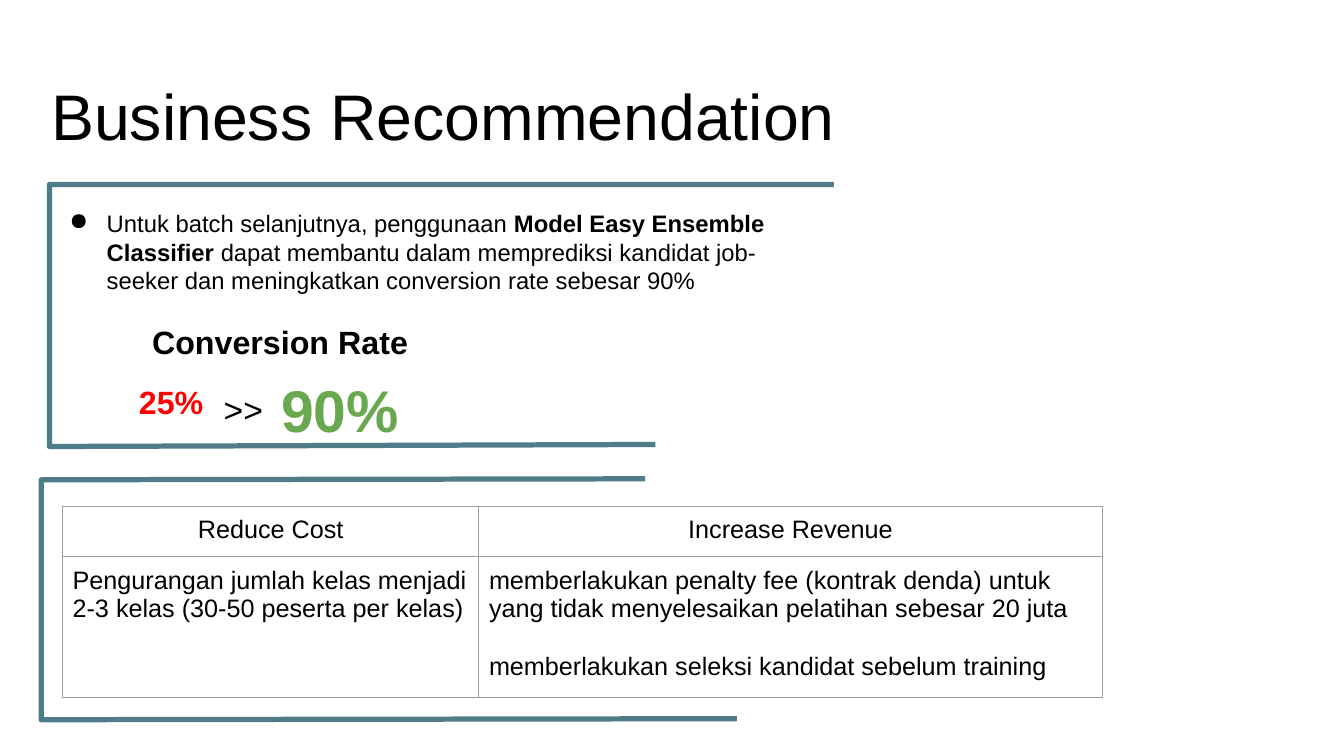
from lxml import etree
from pptx import Presentation
from pptx import util as u
from pptx.dml.color import RGBColor
from pptx.enum import text
from pptx.oxml import ns

PX = 9144


def px(length):
    return u.Emu(length * PX)


def color(value):
    return RGBColor.from_string(value)


def add_color(parent, value):
    fill = etree.SubElement(parent, ns.qn("a:solidFill"))
    etree.SubElement(fill, ns.qn("a:srgbClr"), val=value)


class Board:
    """Holds the style and the current slide, and adds elements to it."""

    font = "Arial"
    ink = "000000"
    bracket_color = "507C89"
    grid_color = "9E9E9E"

    def __init__(self, slide):
        self.slide = slide

    def style(self, paragraph, size, hue=ink, bold=False):
        for run in paragraph.runs:
            run.font.name = self.font
            run.font.size = u.Pt(size)
            run.font.bold = bold
            run.font.color.rgb = color(hue)

    def bracket(self, start, *points):
        builder = self.slide.shapes.build_freeform(*start, scale=PX)
        builder.add_line_segments(points, close=False)
        outline = builder.convert_to_shape()
        outline.shadow.inherit = False
        outline.fill.background()
        outline.line.color.rgb = color(self.bracket_color)
        outline.line.width = u.Pt(3.75)

    def label(self, box, words, size, hue=ink, bold=False, inset=10):
        frame = self.slide.shapes.add_textbox(*map(px, box)).text_frame
        frame.word_wrap = True
        frame.margin_left = frame.margin_right = px(10)
        frame.margin_top = frame.margin_bottom = px(inset)
        frame.text = words
        self.style(frame.paragraphs[0], size, hue, bold)
        return frame

    def title(self, box, words):
        frame = self.label(box, words, 46, inset=5)
        frame.vertical_anchor = text.MSO_ANCHOR.MIDDLE
        frame.paragraphs[0].line_spacing = 0.8

    def bullet(self, box, before, strong, after):
        point = self.label(box, before, 17).paragraphs[0]
        props = point._p.get_or_add_pPr()
        props.set("marL", str(px(50)))
        props.set("indent", str(px(-37)))
        tint = etree.SubElement(props, ns.qn("a:buClr"))
        etree.SubElement(tint, ns.qn("a:srgbClr"), val=self.ink)
        etree.SubElement(props, ns.qn("a:buChar"), char="●")
        for part in (strong, after):
            point.add_run().text = part
        self.style(point, 17)
        point.runs[1].font.bold = True

    def cell(self, cell, words, align):
        cell.margin_left = cell.margin_right = px(10)
        cell.margin_top = cell.margin_bottom = px(10)
        cell.text_frame.text = words
        for index, paragraph in enumerate(cell.text_frame.paragraphs):
            paragraph.alignment = align
            if index:
                paragraph.space_before = u.Pt(21)
            self.style(paragraph, 18)
        props = cell._tc.get_or_add_tcPr()
        for side in ("lnL", "lnR", "lnT", "lnB"):
            edge = etree.SubElement(props, ns.qn(f"a:{side}"), w=str(u.Pt(0.75)))
            add_color(edge, self.grid_color)
        cell.fill.solid()
        cell.fill.fore_color.rgb = color("FFFFFF")

    def table(self, left, top, widths, heights, rows):
        box = (left, top, sum(widths), sum(heights))
        grid = self.slide.shapes.add_table(len(heights), len(widths), *map(px, box)).table
        for column, width in zip(grid.columns, widths):
            column.width = px(width)
        for row, height in zip(grid.rows, heights):
            row.height = px(height)
        for r, row in enumerate(rows):
            align = text.PP_ALIGN.LEFT if r else text.PP_ALIGN.CENTER
            for c, words in enumerate(row):
                self.cell(grid.cell(r, c), words, align)


def main():
    deck = Presentation()
    deck.slide_width, deck.slide_height = u.Inches(13.33), u.Inches(7.5)
    board = Board(deck.slides.add_slide(deck.slide_layouts[6]))

    board.bracket((731, 713), (41, 714), (41, 476), (640, 475))
    board.bracket((650, 441), (49, 443), (49, 183), (827, 183))
    board.title((41, 81, 1252, 79), "Business Recommendation")
    board.bullet(
        (46, 197, 785, 106),
        "Untuk batch selanjutnya, penggunaan ",
        "Model Easy Ensemble Classifier",
        " dapat membantu dalam memprediksi kandidat job-seeker"
        " dan meningkatkan conversion rate sebesar 90%",
    )
    board.table(62, 502, (413, 618), (50, 140), (
        ("Reduce Cost", "Increase Revenue"),
        (
            "Pengurangan jumlah kelas menjadi 2-3 kelas (30-50 peserta per kelas)",
            "memberlakukan penalty fee (kontrak denda) untuk yang tidak"
            " menyelesaikan pelatihan sebesar 20 juta\n"
            "memberlakukan seleksi kandidat sebelum training",
        ),
    ))
    board.label((141, 310, 353, 59), "Conversion Rate", 23, bold=True)
    board.label((269, 361, 201, 91), "90%", 42, "6AA84F", bold=True)
    board.label((128, 369, 116, 59), "25%", 23, "FF0000", bold=True)
    board.label((212, 376, 89, 61), ">>", 24)
    deck.save("out.pptx")


if __name__ == "__main__":
    main()
